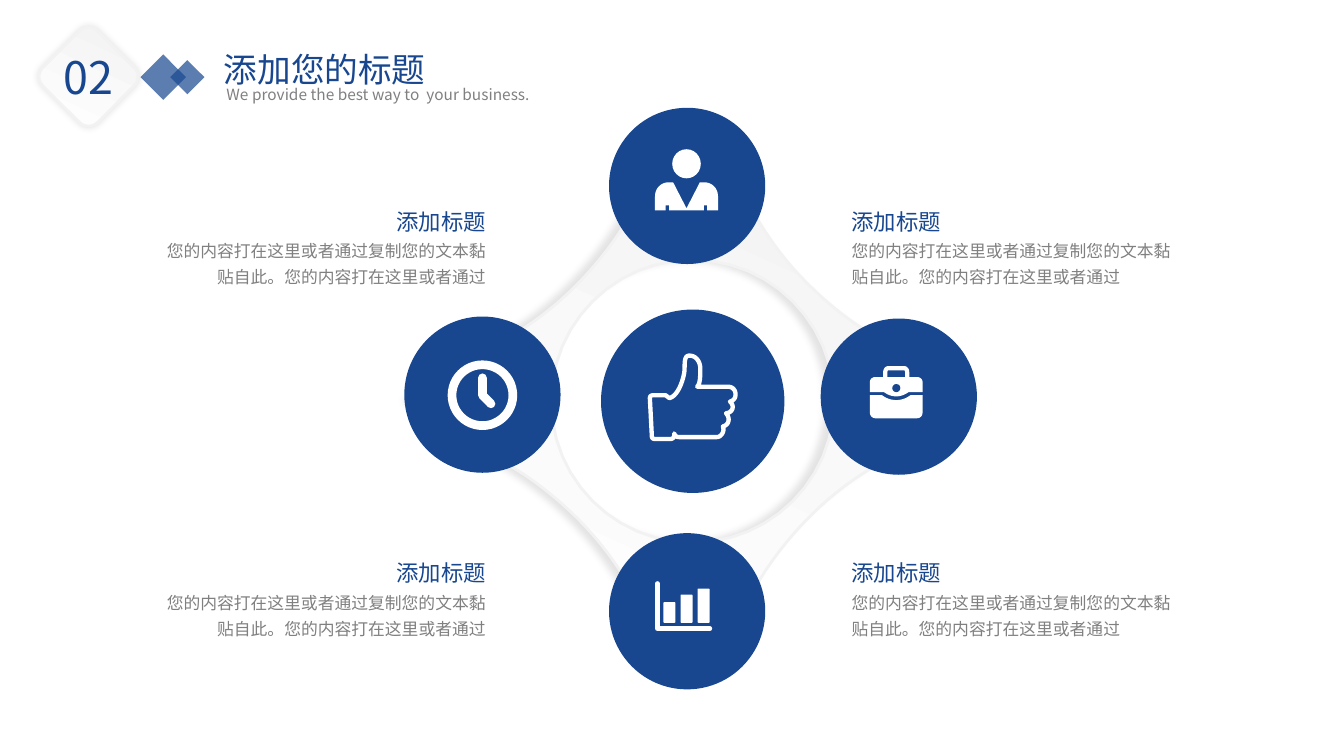
import pptx
import pptx.util
import pptx.dml.color
import pptx.enum.shapes
import pptx.enum.text
import pptx.oxml.ns
from lxml import etree

Pt = pptx.util.Pt
Kind = pptx.enum.shapes.MSO_SHAPE
Align = pptx.enum.text.PP_ALIGN
qn = pptx.oxml.ns.qn

COLORS = {"blue": "18478F", "white": "FFFFFF", "mist": "F2F2F2", "gray": "808080", "black": "000000"}
FONT = "Noto Sans CJK SC"
HEADING = "添加标题"
BODY = "您的内容打在这里或者通过复制您的文本黏贴自此。您的内容打在这里或者通过"


def rgb(name):
    return pptx.dml.color.RGBColor.from_string(COLORS[name])


def paint(shape, fill=None, line=None, width=0):
    shape.shadow.inherit = False
    if fill:
        shape.fill.solid()
        shape.fill.fore_color.rgb = rgb(fill)
    else:
        shape.fill.background()
    if line:
        shape.line.color.rgb = rgb(line)
        shape.line.width = Pt(width)
    else:
        shape.line.fill.background()
    return shape


def add_alpha(parent, percent):
    etree.SubElement(parent, qn("a:alpha"), val=str(percent * 1000))


def paint_relief(shape, angle, distance=0):
    paint(shape, None, "mist", 2)
    shape.fill.gradient()
    shape.fill.gradient_angle = angle
    for stop, color in zip(shape.fill.gradient_stops, ("white", "mist")):
        stop.color.rgb = rgb(color)
    effects = shape._element.spPr.find(qn("a:effectLst"))
    shadow = etree.SubElement(effects, qn("a:outerShdw"), blurRad=str(Pt(5)),
                              dist=str(Pt(distance)), dir="10800000", rotWithShape="0")
    add_alpha(etree.SubElement(shadow, qn("a:srgbClr"), val=COLORS["black"]), 11)


def add_centered(slide, kind, cx, cy, width, height):
    return slide.shapes.add_shape(kind, Pt(cx - width / 2), Pt(cy - height / 2), Pt(width), Pt(height))


def flatten(steps, samples=12):
    points = [steps[0]]
    for step in steps[1:]:
        if len(step) == 2:
            points.append(step)
            continue
        (x0, y0), (x1, y1, x2, y2, x3, y3) = points[-1], step
        for i in range(1, samples + 1):
            t = i / samples
            a, b, c, d = (1 - t) ** 3, 3 * t * (1 - t) ** 2, 3 * t * t * (1 - t), t ** 3
            points.append((a * x0 + b * x1 + c * x2 + d * x3, a * y0 + b * y1 + c * y2 + d * y3))
    return points


def add_outline(slide, cx, cy, *contours, close=True):
    builder = None
    for steps in contours:
        points = [(Pt(cx + x), Pt(cy + y)) for x, y in flatten(steps)]
        if builder is None:
            builder = slide.shapes.build_freeform(*points[0])
        else:
            builder.move_to(*points[0])
        builder.add_line_segments(points[1:], close=close)
    return builder.convert_to_shape()


def add_stroke(slide, cx, cy, steps, width, close=False):
    stroke = paint(add_outline(slide, cx, cy, steps, close=close), None, "white", width)
    stroke.line._get_or_add_ln().set("cap", "rnd")


def format_runs(paragraph, size, color):
    for run in paragraph.runs:
        run.font.size = Pt(size)
        run.font.name = FONT
        run.font.color.rgb = rgb(color)
        etree.SubElement(run._r.get_or_add_rPr(), qn("a:ea"), typeface=FONT)


def add_text(slide, left, top, width, height, lines, align=Align.LEFT, spacing=None, wrap=True):
    frame = slide.shapes.add_textbox(Pt(left), Pt(top), Pt(width), Pt(height)).text_frame
    frame.word_wrap = wrap
    frame.text = "\n".join(text for text, _, _ in lines)
    for paragraph, (_, size, color) in zip(frame.paragraphs, lines):
        paragraph.alignment = align
        paragraph.line_spacing = spacing
        format_runs(paragraph, size, color)


def add_header(slide, left, top):
    for cx, side in ((81.4, 23), (98.6, 17.3)):
        square = paint(add_centered(slide, Kind.RECTANGLE, left + cx, top + 27.7, side, side), "blue")
        square.rotation = 225
        add_alpha(square.fill._xPr.find(".//" + qn("a:srgbClr")), 70)
    add_text(slide, left + 119.5, top + 29.5, 289.4, 21,
             [("We provide the best way to  your business.", 11, "gray")])
    title = slide.shapes.title
    title.left, title.top, title.width, title.height = Pt(left + 117.5), Pt(top + 3.6), Pt(234), Pt(36)
    title.text_frame.text = "添加您的标题"
    title.text_frame.vertical_anchor = pptx.enum.text.MSO_ANCHOR.TOP
    title.text_frame.paragraphs[0].alignment = Align.LEFT
    format_runs(title.text_frame.paragraphs[0], 24, "blue")
    badge = add_centered(slide, Kind.ROUNDED_RECTANGLE, left + 28, top + 27.4, 55.4, 55.4)
    badge.rotation = 45
    paint_relief(badge, 110)
    add_text(slide, left + 3, top + 4.3, 52.6, 46, [("02", 32, "blue")], wrap=False)


def draw_frame(slide, cx, cy):
    quarter = [(0, -199.5), (26.6, -173), (31, -161),
               (42.5, -133, 59, -107, 82, -84), (106, -60, 132.5, -42.5, 161, -31), (173, -26.6)]
    outline = []
    for _ in range(4):
        outline += quarter
        quarter = [tuple(v for i in range(0, len(step), 2) for v in (-step[i + 1], step[i]))
                   for step in quarter]
    r, k = 101, 55.8
    hole = [(0, -r), (-k, -r, -r, -k, -r, 0), (-r, k, -k, r, 0, r),
            (k, r, r, k, r, 0), (r, -k, k, -r, 0, -r)]
    paint_relief(add_outline(slide, cx, cy, outline, hole), 65, 6)


def draw_thumb(slide, cx, cy):
    hand = [(-27.4, -4.3), (-19.4, -4.3), (-16.6, -2.2), (-9.4, -4.3, -5.8, -18.7, -5.8, -23),
            (-5.8, -30, -5.4, -32.6, -2.2, -32.6), (2.9, -32.6, 5.4, -27.4, 5.4, -23.8),
            (5.4, -17, 5.4, -13, 3.2, -10.4), (25.2, -10.4), (28.4, -10.4, 30.6, -8, 30.6, -5),
            (30.6, -2.5, 29.5, -0.5, 26.6, 0.2), (30, 3, 29, 8, 23.8, 8.6),
            (27, 12, 26, 17, 21.6, 18), (23, 22, 20, 25.6, 17.3, 25.6), (-9.4, 25.6),
            (-11.5, 25.6, -12.5, 25, -13.2, 23), (-13, 27, -15, 27, -17.3, 27), (-26, 27),
            (-28.5, 27, -29.2, 26.5, -29.2, 24.5), (-30.6, -2), (-30.6, -4.3, -29, -4.3, -27.4, -4.3)]
    add_stroke(slide, cx, cy, hand, 3.1, close=True)


def draw_clock(slide, cx, cy):
    dial = paint(add_centered(slide, Kind.DONUT, cx, cy + 0.4, 49.7, 49.7), "white")
    dial.adjustments[0] = 0.125
    add_stroke(slide, cx, cy, [(0, -12), (0, 0.5), (6.1, 6.6)], 6.2)


def draw_person(slide, cx, cy):
    paint(add_centered(slide, Kind.OVAL, cx - 0.4, cy - 15.8, 20.4, 20.8), "white")
    torso = [(0, 16), (9.5, -2.5), (13, -2.5), (18, -2.5, 22.5, 1.5, 22.5, 7.5), (22.5, 17.5),
             (14.8, 17.5), (14.8, 14), (12.4, 14), (12.4, 17.5), (-12.4, 17.5), (-12.4, 14),
             (-14.8, 14), (-14.8, 17.5), (-22.5, 17.5), (-22.5, 7.5),
             (-22.5, 1.5, -18, -2.5, -13, -2.5), (-9.5, -2.5)]
    paint(add_outline(slide, cx - 0.4, cy, torso), "white")


def draw_bars(slide, cx, cy):
    for i, height in enumerate((14.8, 20.2, 24.5)):
        bar = add_centered(slide, Kind.ROUNDED_RECTANGLE, cx - 12.6 + 12.2 * i, cy + 8.3 - height / 2, 8.6, height)
        bar.adjustments[0] = 0.08
        paint(bar, "white")
    add_stroke(slide, cx, cy, [(-21.2, -19.8), (-21.2, 12.4), (16.3, 12.4)], 3.3)


def draw_briefcase(slide, cx, cy):
    cx -= 1.8
    handle = [(-7.8, -14), (-7.8, -17.5), (-7.8, -19, -7, -20.3, -5.4, -20.3), (5.4, -20.3),
              (7, -20.3, 7.8, -19, 7.8, -17.5), (7.8, -14)]
    add_stroke(slide, cx, cy, handle, 3)
    lid = [(-18.8, -3.2), (-18.8, -10.5), (-18.8, -12.5, -17, -14, -14.8, -14), (14.8, -14),
           (17, -14, 18.8, -12.5, 18.8, -10.5), (18.8, -3.2), (8.8, -3.2), (3.3, 0.9, -3.3, 0.9, -8.8, -3.2)]
    case = [(-18.8, -1), (-10.2, -1), (-4, 3.7, 4, 3.7, 10.2, -1), (18.8, -1), (18.8, 11.5),
            (18.8, 13.8, 17, 15.5, 14.8, 15.5), (-14.8, 15.5), (-17, 15.5, -18.8, 13.8, -18.8, 11.5)]
    for part in (lid, case):
        paint(add_outline(slide, cx, cy, part), "white")
    paint(add_centered(slide, Kind.OVAL, cx, cy - 6.1, 5.8, 5.8), "blue")


def add_hub(slide, cx, cy):
    draw_frame(slide, cx, cy)
    nodes = ((-150.2, -4.7, 111.6, draw_clock), (147.2, -3.3, 111.6, draw_briefcase),
             (-4, -153.8, 111.6, draw_person), (-4, 150, 111.6, draw_bars), (0, 0, 131, draw_thumb))
    for dx, dy, size, draw_icon in nodes:
        paint(add_centered(slide, Kind.OVAL, cx + dx, cy + dy, size, size), "blue")
        draw_icon(slide, cx + dx, cy + dy)


def add_captions(slide, left, top):
    for column, align in ((499, Align.LEFT), (0, Align.RIGHT)):
        for row in (0, 251):
            add_text(slide, left + column, top + row, 252, 70.6,
                     [(HEADING, 16, "blue"), (BODY, 12, "gray")], align, 1.3)


def main():
    deck = pptx.Presentation()
    deck.slide_width, deck.slide_height = Pt(960), Pt(540)
    slide = deck.slides.add_slide(deck.slide_layouts[5])
    add_hub(slide, 494.8, 286.6)
    add_captions(slide, 102.2, 139.3)
    add_header(slide, 35.2, 27.4)
    deck.save("out.pptx")


if __name__ == "__main__":
    main()
